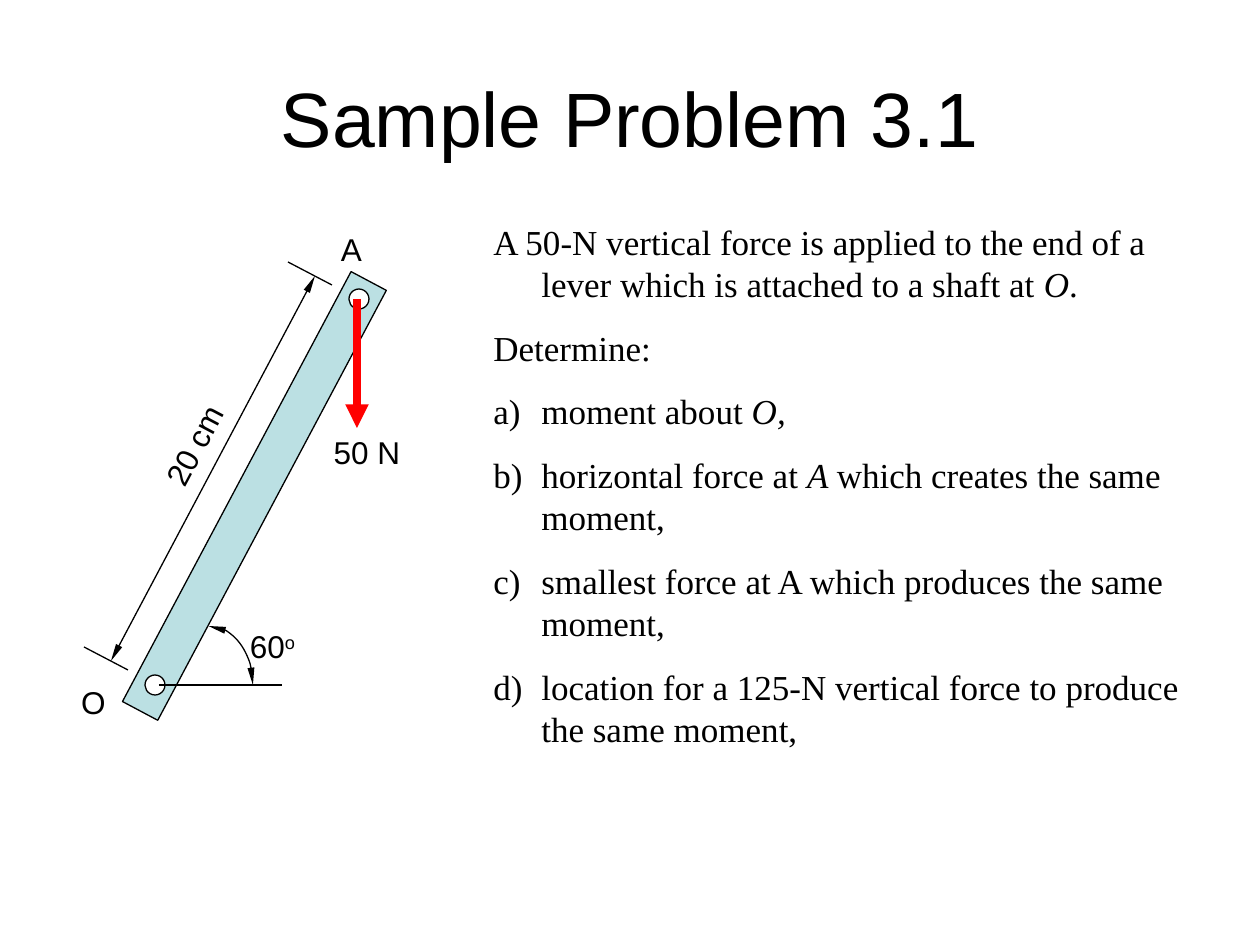
import pptx
import pptx.util
import pptx.dml.color
import pptx.enum.shapes
import pptx.enum.text
import pptx.oxml.ns
from lxml import etree

SCALE = 914400 // 126
BLACK = pptx.dml.color.RGBColor(0, 0, 0)
WHITE = pptx.dml.color.RGBColor(255, 255, 255)
RED = pptx.dml.color.RGBColor(255, 0, 0)
LEVER_BLUE = pptx.dml.color.RGBColor(0xBB, 0xE0, 0xE3)
SHAPES = pptx.enum.shapes.MSO_SHAPE
ALIGN = pptx.enum.text.PP_ALIGN
ANCHOR = pptx.enum.text.MSO_ANCHOR
LEVER_ANGLE = 298
HANGING = 48

STATEMENT = [
    (False, [("A 50-N vertical force is applied to the end of a lever which is "
              "attached to a shaft at ", False), ("O", True), (".", False)]),
    (False, [("Determine:", False)]),
    (True, [("moment about ", False), ("O,", True)]),
    (True, [("horizontal force at ", False), ("A ", True),
            ("which creates the same moment,", False)]),
    (True, [("smallest force at A which produces the same moment,", False)]),
    (True, [("location for a 125-N vertical force to produce the same moment,", False)]),
]


def px(length):
    return pptx.util.Emu(length * SCALE)


def add_element(parent, tag, **attributes):
    return etree.SubElement(parent, pptx.oxml.ns.qn(tag), attributes)


def add_span(para, text, size=18, font="Arial", italic=False, baseline=None):
    span = para.add_run()
    span.text = text
    span.font.size = pptx.util.Pt(size)
    span.font.name = font
    span.font.italic = italic
    span.font.color.rgb = BLACK
    if baseline:
        span.font._element.set("baseline", str(baseline))


def add_box(page, bounds, anchor=ANCHOR.TOP):
    box = page.shapes.add_textbox(*map(px, bounds))
    box.text_frame.word_wrap = True
    box.text_frame.vertical_anchor = anchor
    return box


def add_label(page, bounds, text, size=18, align=ALIGN.CENTER, rotation=0,
              anchor=ANCHOR.TOP, superscript=None):
    box = add_box(page, bounds, anchor)
    box.rotation = rotation
    para = box.text_frame.paragraphs[0]
    para.alignment = align
    add_span(para, text, size=size)
    if superscript:
        add_span(para, superscript, size=size, baseline=30000)


def add_statement(page, bounds):
    frame = add_box(page, bounds).text_frame
    for index, (numbered, spans) in enumerate(STATEMENT):
        para = frame.add_paragraph() if index else frame.paragraphs[0]
        properties = para._p.get_or_add_pPr()
        properties.set("marL", str(px(HANGING)))
        properties.set("indent", str(-px(HANGING)))
        if numbered:
            add_element(properties, "a:buFont", typeface="Times New Roman")
            add_element(properties, "a:buAutoNum", type="alphaLcParenR")
        if index:
            para.space_before = pptx.util.Pt(12.5)
        for text, italic in spans:
            add_span(para, text, size=20, font="Times New Roman", italic=italic)


def style_line(line, color=BLACK, width=0.75, heads=(), head_size=("sm", "lg")):
    line.color.rgb = color
    line.width = pptx.util.Pt(width)
    across, along = head_size
    for head in heads:
        add_element(line._get_or_add_ln(), head, type="triangle", w=across, len=along)


def add_line(page, start, end, **style):
    line = page.shapes.add_connector(
        pptx.enum.shapes.MSO_CONNECTOR.STRAIGHT, *map(px, start + end))
    add_element(line._element.spPr, "a:effectLst")
    style_line(line.line, **style)


def add_figure(page, kind, bounds, fill=None, rotation=0, **style):
    figure = page.shapes.add_shape(kind, *map(px, bounds))
    figure.shadow.inherit = False
    figure.rotation = rotation
    if fill is None:
        figure.fill.background()
    else:
        figure.fill.solid()
        figure.fill.fore_color.rgb = fill
    style_line(figure.line, **style)


def draw_lever(page):
    both_ends = ("a:headEnd", "a:tailEnd")
    add_figure(page, SHAPES.RECTANGLE, (11, 476, 487, 40), LEVER_BLUE, LEVER_ANGLE)
    for left, top in ((145, 675), (349, 289)):
        add_figure(page, SHAPES.OVAL, (left, top, 20, 20), WHITE, LEVER_ANGLE)
    for right, bottom in ((128, 670), (332, 285)):
        add_line(page, (right, bottom), (right - 44, bottom - 23))
    add_line(page, (111, 661), (315, 276), heads=both_ends)
    add_label(page, (128, 403, 149, 50), "20 cm", align=ALIGN.LEFT, rotation=LEVER_ANGLE)
    add_line(page, (159, 685), (282, 685))
    add_figure(page, SHAPES.ARC, (164, 626, 89, 118), heads=both_ends)
    add_label(page, (228, 621, 89, 50), "60", superscript="o")
    add_line(page, (357, 299), (357, 428), color=RED, width=4.5,
             heads=("a:tailEnd",), head_size=("med", "med"))
    add_label(page, (49, 677, 89, 50), "O")
    add_label(page, (307, 224, 89, 50), "A")
    add_label(page, (312, 427, 110, 50), "50 N")


def main():
    deck = pptx.Presentation()
    deck.slide_width, deck.slide_height = px(1260), px(945)
    page = deck.slides.add_slide(deck.slide_layouts[6])
    add_label(page, (63, 38, 1134, 158), "Sample Problem 3.1", size=44, anchor=ANCHOR.MIDDLE)
    add_statement(page, (481, 214, 745, 543))
    draw_lever(page)
    deck.save("out.pptx")


if __name__ == "__main__":
    main()
